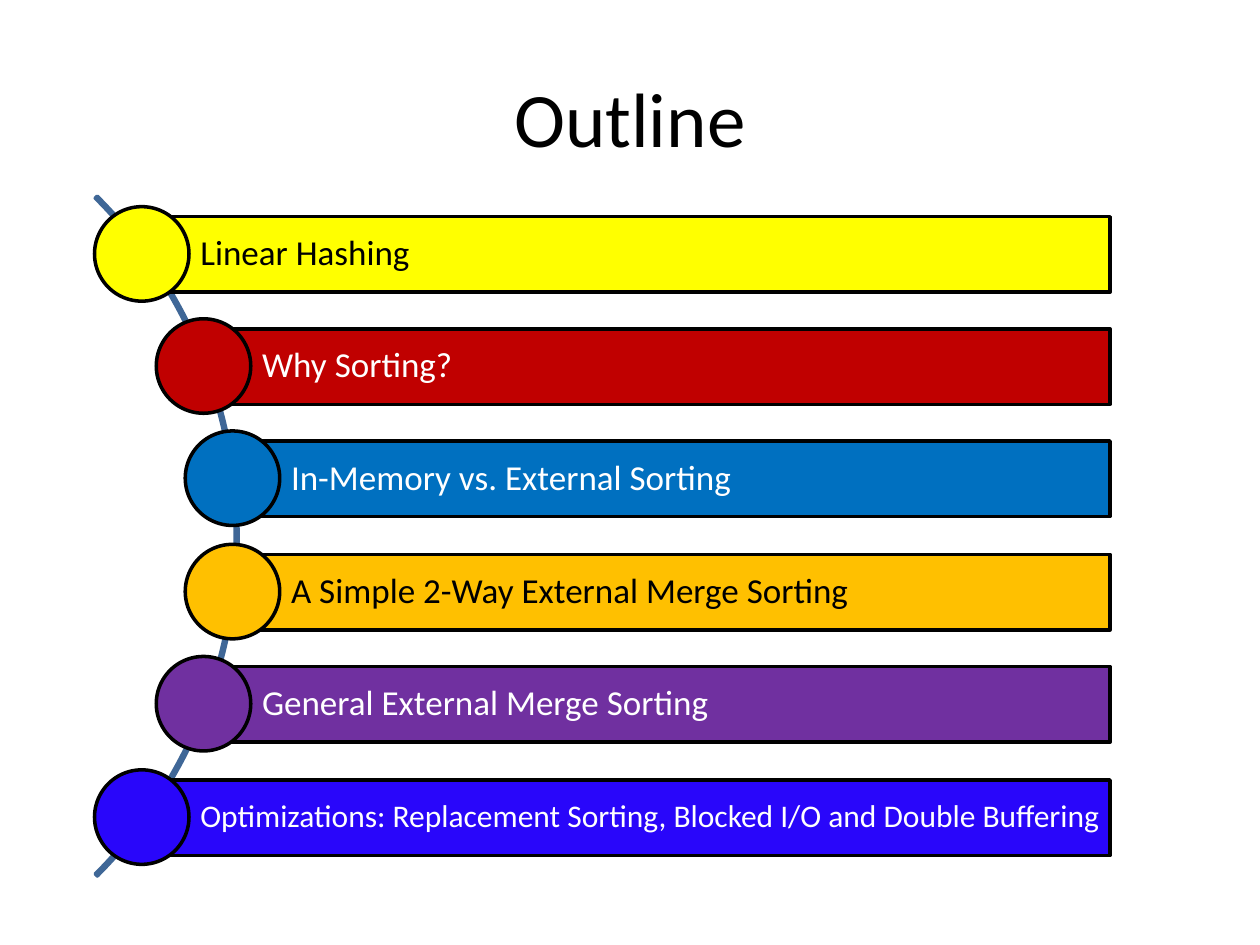
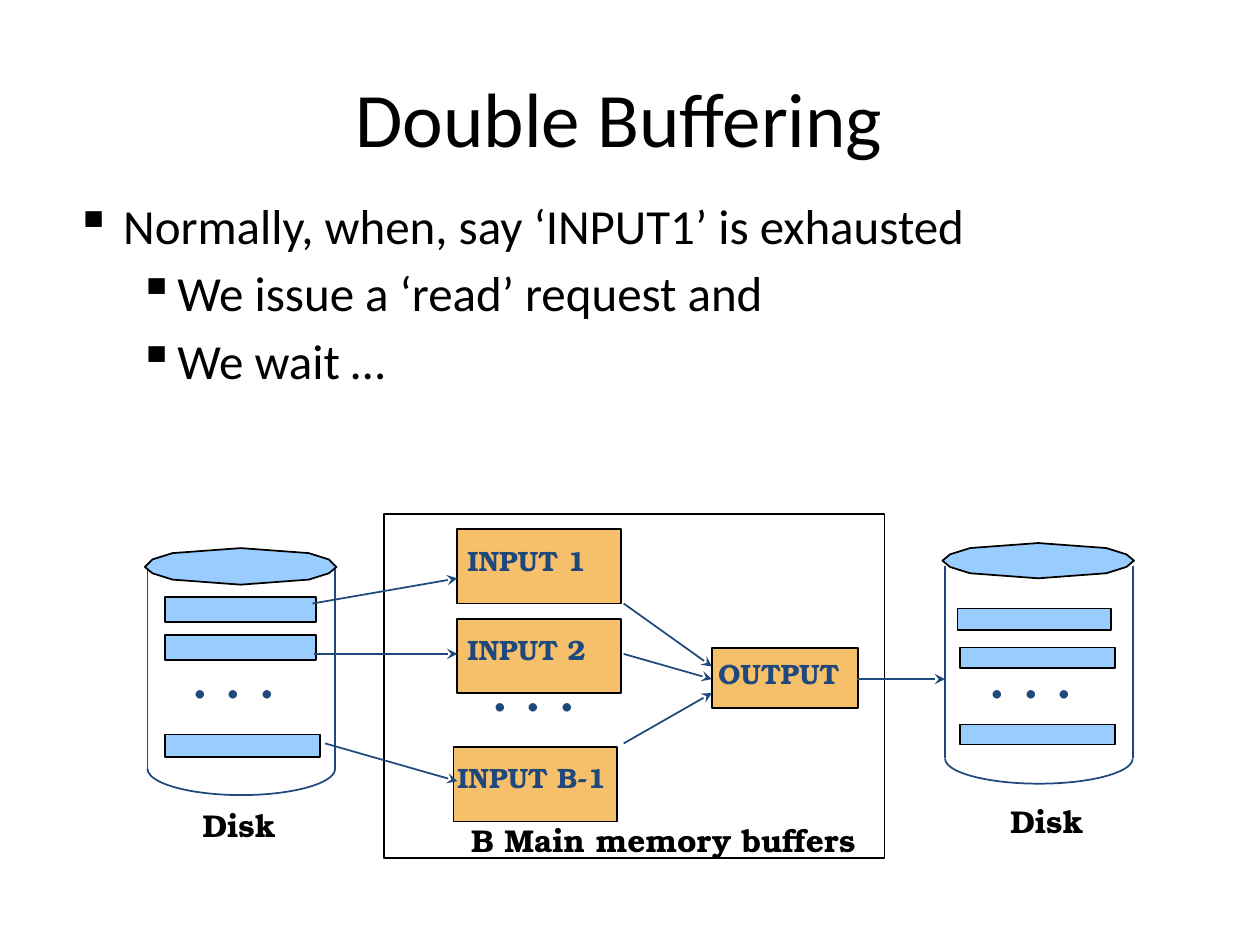
import math

import lxml.etree
import pptx
import pptx.dml.color
import pptx.enum.shapes
import pptx.enum.text
import pptx.oxml.ns
import pptx.util

PX = 9144  # EMU per px, 100 px to the inch

RGB = pptx.dml.color.RGBColor
BLACK = RGB(0x00, 0x00, 0x00)
WHITE = RGB(0xFF, 0xFF, 0xFF)
YELLOW = RGB(0xFF, 0xFF, 0x00)
RED = RGB(0xC0, 0x00, 0x00)
BLUE = RGB(0x00, 0x70, 0xC0)
AMBER = RGB(0xFF, 0xC0, 0x00)
PURPLE = RGB(0x70, 0x30, 0xA0)
INDIGO = RGB(0x29, 0x06, 0xFA)
SPINE = RGB(0x3F, 0x67, 0x97)
NAVY = RGB(0x1F, 0x49, 0x7D)
SKY = RGB(0x99, 0xCC, 0xFF)
ORANGE = RGB(0xF6, 0xBF, 0x69)

SANS = "Calibri"
SERIF = "TeX Gyre Bonum"

SHAPE = pptx.enum.shapes.MSO_SHAPE
ALIGN = pptx.enum.text.PP_ALIGN
ANCHOR = pptx.enum.text.MSO_ANCHOR
qn = pptx.oxml.ns.qn

TOPICS = [
    ("Linear Hashing", YELLOW, BLACK, 20),
    ("Why Sorting?", RED, WHITE, 20),
    ("In-Memory vs. External Sorting", BLUE, WHITE, 20),
    ("A Simple 2-Way External Merge Sorting", AMBER, BLACK, 20),
    ("General External Merge Sorting", PURPLE, WHITE, 20),
    ("Optimizations: Replacement Sorting, Blocked I/O and Double Buffering",
     INDIGO, WHITE, 18),
]
BAR_LEFTS = [112, 161, 184, 184, 161, 112]

POINTS = [
    (0, "Normally, when, say ‘INPUT1’ is exhausted"),
    (1, "We issue a ‘read’ request and"),
    (1, "We wait …"),
]
BULLET_INDENTS = [(38, -38), (81, -31)]


def emu(*lengths):
    return [pptx.util.Emu(length * PX) for length in lengths]


def paint(shape, fill, line, weight):
    shape.shadow.inherit = False
    if fill is None:
        shape.fill.background()
    else:
        shape.fill.solid()
        shape.fill.fore_color.rgb = fill
    shape.line.color.rgb = line
    shape.line.width = pptx.util.Pt(weight)
    return shape


def draw(slide, preset, box, fill=None, line=BLACK, weight=1):
    return paint(slide.shapes.add_shape(preset, *emu(*box)), fill, line, weight)


def write(shape, text, size, color=BLACK, font=SANS, bold=False, align=ALIGN.LEFT,
          anchor=ANCHOR.TOP, insets=(10, 5, 10, 5)):
    """Fill a shape with text; each line of it becomes a paragraph."""
    frame = shape.text_frame
    frame.word_wrap = True
    frame.vertical_anchor = anchor
    (frame.margin_left, frame.margin_top,
     frame.margin_right, frame.margin_bottom) = emu(*insets)
    frame.text = text
    for paragraph in frame.paragraphs:
        paragraph.alignment = align
        for run in paragraph.runs:
            run.font.size = pptx.util.Pt(size)
            run.font.name = font
            run.font.bold = bold
            run.font.color.rgb = color
    return frame


def label(slide, box, *args, **style):
    return write(slide.shapes.add_textbox(*emu(*box)), *args, **style)


def title(slide, text, box):
    label(slide, box, text, 44, align=ALIGN.CENTER, anchor=ANCHOR.MIDDLE)


def connect(slide, start, end, arrow=False):
    connector = slide.shapes.add_connector(
        pptx.enum.shapes.MSO_CONNECTOR.STRAIGHT, *emu(*start, *end))
    connector.line.color.rgb = NAVY
    connector.line.width = pptx.util.Pt(1)
    properties = connector.element.spPr
    if arrow:
        lxml.etree.SubElement(properties.find(qn("a:ln")), qn("a:tailEnd"), type="stealth")
    lxml.etree.SubElement(properties, qn("a:effectLst"))


def topic_list(slide, top):
    """Bars with round markers, strung along an arc."""
    spine = draw(slide, SHAPE.BLOCK_ARC, (-574, top - 128, 763, 763),
                 line=SPINE, weight=2)
    for index, value in enumerate((189, 27, 0.003)):
        spine.adjustments[index] = value
    bar_right, bar_height, marker = 881, 60, 75
    for row, (left, (text, fill, ink, size)) in enumerate(zip(BAR_LEFTS, TOPICS)):
        bar_top = top + row * 447 // 5
        bar = draw(slide, SHAPE.RECTANGLE,
                   (left, bar_top, bar_right - left, bar_height), fill, weight=2)
        frame = write(bar, text, size, ink, anchor=ANCHOR.MIDDLE, insets=(47, 5, 5, 5))
        frame.paragraphs[0].line_spacing = 0.9
        draw(slide, SHAPE.OVAL, (left - 37, bar_top - 8, marker, marker), fill, weight=2)


def bullet_list(slide, box):
    frame = label(slide, box, "\n".join(text for _, text in POINTS), 28)
    for paragraph, (level, _) in zip(frame.paragraphs, POINTS):
        paragraph.level = level
        paragraph.space_before = pptx.util.Pt(5)
        margin, indent = BULLET_INDENTS[level]
        properties = paragraph._p.get_or_add_pPr()
        properties.set("marL", str(margin * PX))
        properties.set("indent", str(indent * PX))
        lxml.etree.SubElement(properties, qn("a:buChar"), char="▪")


def lid(slide, left, top, width, height):
    """Faceted ellipse: every 22.5 degrees, without the points next to the poles."""
    corners = []
    for step in range(16):
        if step % 8 not in (3, 5):
            angle = step * math.pi / 8
            corners.append((round(left + width / 2 * (1 + math.cos(angle))),
                            round(top + height / 2 * (1 + math.sin(angle)))))
    builder = slide.shapes.build_freeform(*corners[0], scale=PX)
    builder.add_line_segments(corners[1:], close=True)
    paint(builder.convert_to_shape(), SKY, BLACK, 1)


def ellipsis_dots(slide, left, top):
    label(slide, (left, top, 91, 76), ". . .", 40, NAVY)


def disk(slide, left, top, lid_height, wall_bottom, base_depth, pages, dots_top, name_at):
    """Cylinder holding pages; all places are relative to left and top."""
    wall_top, walls = 449, (left + 2, left + 151)
    base = top + wall_bottom
    for wall in walls:
        connect(slide, (wall, wall_top), (wall, base))
    curve = draw(slide, SHAPE.ARC,
                 (walls[0], base - base_depth, walls[1] - walls[0], 2 * base_depth),
                 line=NAVY)
    curve.adjustments[0] = 0
    curve.adjustments[1] = 108
    lid(slide, left, top, 152, lid_height)
    for x, y, width, height in pages:
        draw(slide, SHAPE.RECTANGLE, (left + x, top + y, width, height), SKY)
    ellipsis_dots(slide, left + 27, top + dots_top)
    label(slide, (left + name_at[0], top + name_at[1], 90, 40), "Disk", 18,
          font=SERIF, bold=True)


def memory_buffers(slide, left, top):
    draw(slide, SHAPE.RECTANGLE, (left, top, 397, 273))
    buffers = [
        ("INPUT 1", (58, 12, 130, 59), (8, 11)),
        ("INPUT 2", (58, 83, 130, 59), (8, 11)),
        ("INPUT B-1", (55, 185, 130, 59), (3, 11)),
        ("OUTPUT", (260, 106, 116, 48), (5, 7)),
    ]
    for name, (x, y, width, height), insets in buffers:
        buffer = draw(slide, SHAPE.RECTANGLE, (left + x, top + y, width, height), ORANGE)
        write(buffer, name, 16, NAVY, SERIF, bold=True, insets=(*insets, 0, 0))
    ellipsis_dots(slide, left + 75, top + 96)
    label(slide, (left + 59, top + 239, 335, 40), "B Main memory buffers", 18,
          font=SERIF, bold=True)


def data_flow(slide):
    for start, end in [
        ((248, 479), (363, 459)), ((249, 519), (363, 519)), ((258, 590), (363, 620)),
        ((495, 479), (565, 529)), ((495, 519), (565, 539)), ((495, 590), (565, 550)),
        ((680, 539), (750, 539)),
    ]:
        connect(slide, start, end, arrow=True)


def outline_slide(slide):
    title(slide, "Outline", (50, 30, 900, 125))
    topic_list(slide, top=172)


def double_buffering_slide(slide):
    title(slide, "Double Buffering", (0, 30, 983, 125))
    bullet_list(slide, (50, 150, 933, 567))
    disk(slide, 115, 435, lid_height=29, wall_bottom=175, base_depth=21,
         pages=[(16, 39, 120, 20), (16, 69, 120, 20), (16, 148, 123, 18)],
         dots_top=59, name_at=(36, 200))
    disk(slide, 748, 431, lid_height=28, wall_bottom=171, base_depth=20,
         pages=[(12, 52, 122, 17), (14, 83, 123, 16), (14, 144, 123, 16)],
         dots_top=63, name_at=(44, 201))
    memory_buffers(slide, 305, 408)
    data_flow(slide)


def main():
    deck = pptx.Presentation()
    deck.slide_width, deck.slide_height = emu(1000, 750)
    blank = deck.slide_layouts[6]
    for build in (outline_slide, double_buffering_slide):
        build(deck.slides.add_slide(blank))
    deck.save("out.pptx")


if __name__ == "__main__":
    main()
